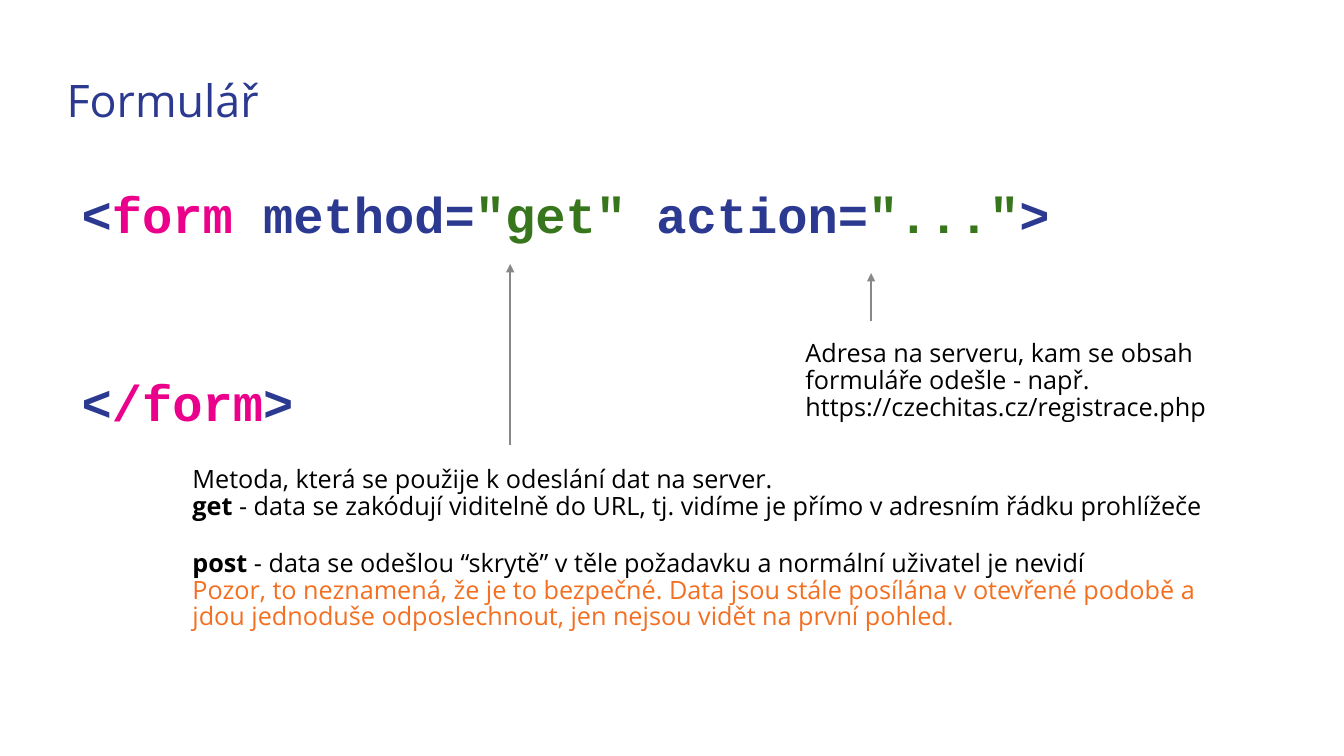
from lxml.etree import SubElement as Sub
from pptx import Presentation as Deck
from pptx.dml.color import RGBColor as Color
from pptx.enum.shapes import MSO_CONNECTOR as Link
from pptx.enum.text import MSO_ANCHOR as Anchor, MSO_AUTO_SIZE as Auto, PP_ALIGN as Align
from pptx.oxml.ns import qn
from pptx.util import Inches, Pt

NAVY, PINK, GREEN = "2B3990", "EB008B", "38761D"
BLACK, ORANGE, GRAY = "000000", "F36F21", "888888"
SANS, MONO = "Open Sans", "Courier New"


def tint(code):
    return Color.from_string(code)


class Page:
    def __init__(self, deck):
        self.wide, self.high = deck.slide_width, deck.slide_height
        self.slide = deck.slides.add_slide(deck.slide_layouts[5])

    def area(self, left, top, width, height):
        return (self.x(left), self.y(top), self.x(width), self.y(height))

    def x(self, share):
        return int(self.wide * share / 100)

    def y(self, share):
        return int(self.high * share / 100)

    def put(self, frame, lines, font, size, space, pads=(0.1,) * 4, bold=False):
        frame.word_wrap = True
        frame.auto_size = Auto.NONE
        frame.vertical_anchor = Anchor.TOP
        (frame.margin_left, frame.margin_top,
         frame.margin_right, frame.margin_bottom) = map(Inches, pads)
        for i, (gap, parts) in enumerate(lines):
            para = frame.add_paragraph() if i else frame.paragraphs[0]
            para.alignment = Align.LEFT
            para.line_spacing = space
            para.space_before = Pt(gap)
            for text, code, *strong in parts:
                run = para.add_run()
                run.text = text
                run.font.name, run.font.size = font, Pt(size)
                run.font.bold = bold or bool(strong)
                run.font.color.rgb = tint(code)

    def title(self, text, spot):
        shape = self.slide.shapes.title
        shape.left, shape.top, shape.width, shape.height = self.area(*spot)
        self.put(shape.text_frame, [(0, [(text, NAVY)])], SANS, 32, 1.15,
                 (0, 0, 0.13, 0.13))

    def code(self, lines, spot):
        box = self.slide.shapes.add_textbox(*self.area(*spot))
        self.put(box.text_frame, lines, MONO, 36, 1.15, bold=True)

    def note(self, lines, spot):
        box = self.slide.shapes.add_textbox(*self.area(*spot))
        self.put(box.text_frame, lines, SANS, 18, 0.88)

    def arrow(self, left, start, end):
        line = self.slide.shapes.add_connector(
            Link.STRAIGHT, self.x(left), self.y(start), self.x(left), self.y(end))
        line.line.color.rgb = tint(GRAY)
        line.line.width = Pt(1.5)
        props = line._element.spPr
        Sub(props.find(qn("a:ln")), qn("a:tailEnd"), type="triangle")
        Sub(props, qn("a:effectLst"))


def main():
    deck = Deck()
    deck.slide_width, deck.slide_height = Inches(13.33), Inches(7.5)
    page = Page(deck)
    page.title("Formulář", (4.95, 8.53, 90.1, 8.8))
    page.code([
        (0, [("<", NAVY), ("form", PINK), (" method=", NAVY), ('"get"', GREEN),
             (" action=", NAVY), ('"..."', GREEN), (">", NAVY)]),
        (84.5, [("<", NAVY), ("/form", PINK), (">", NAVY)]),
    ], (5.33, 21.73, 80.2, 40.8))
    page.note([
        (0, [("Metoda, která se použije k odeslání dat na server.", BLACK)]),
        (0, [("get", BLACK, True),
             (" - data se zakódují viditelně do URL, tj. vidíme je přímo"
              " v adresním řádku prohlížeče", BLACK)]),
        (21.6, [("post", BLACK, True),
                (" - data se odešlou “skrytě” v těle požadavku"
                 " a normální uživatel je nevidí", BLACK)]),
        (0, [("Pozor, to neznamená, že je to bezpečné. Data jsou stále posílána"
              " v otevřené podobě a jdou jednoduše odposlechnout,"
              " jen nejsou vidět na první pohled.", ORANGE)]),
    ], (13.58, 60.53, 77.87, 27.47))
    page.arrow(37.96, 58.8, 34.93)
    page.note([
        (0, [("Adresa na serveru, kam se obsah formuláře odešle - např."
              " https://czechitas.cz/registrace.php", BLACK)]),
    ], (59.19, 43.87, 35.93, 12))
    page.arrow(64.82, 42.53, 36.13)
    deck.save("out.pptx")


if __name__ == "__main__":
    main()
